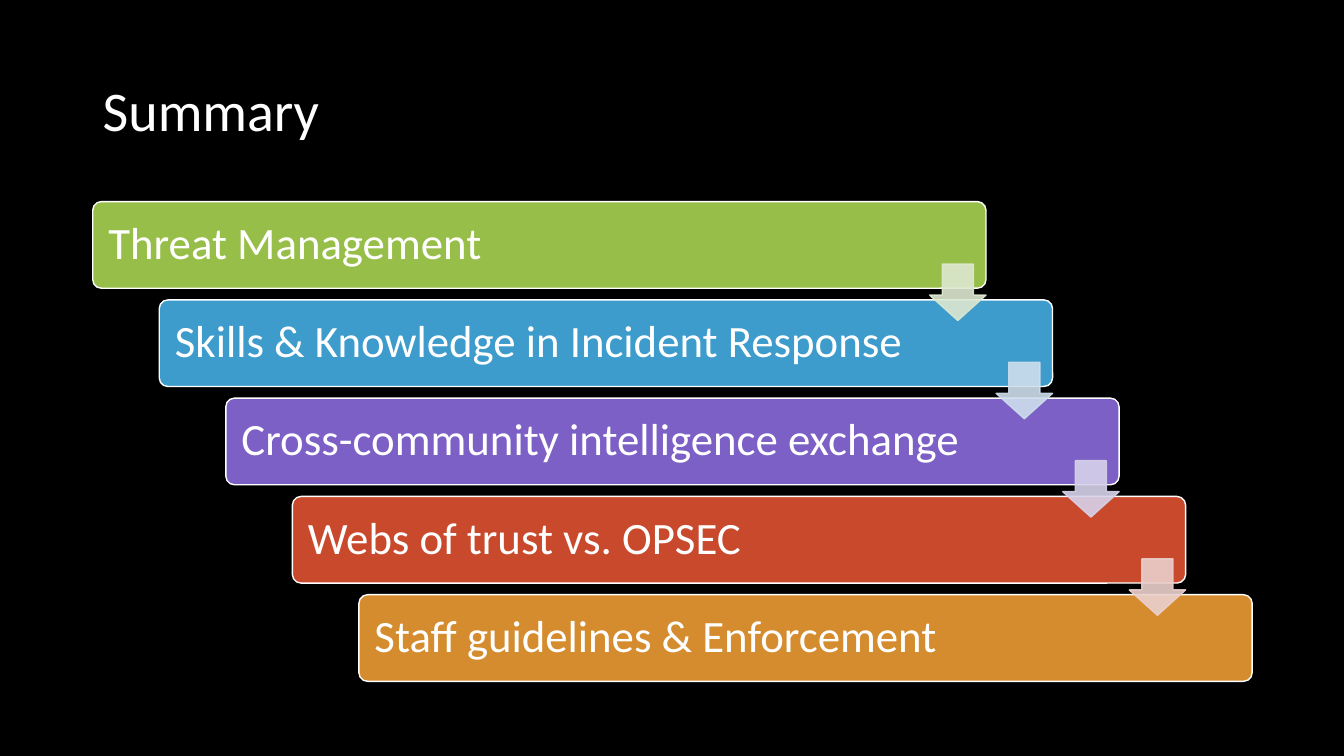
from lxml import etree
from pptx import Presentation
from pptx.dml.color import RGBColor
from pptx.enum.shapes import MSO_SHAPE
from pptx.enum.text import MSO_ANCHOR, PP_ALIGN
from pptx.oxml.ns import qn
from pptx.util import Inches, Pt

ROUNDED = MSO_SHAPE.ROUNDED_RECTANGLE
DOWN_ARROW = MSO_SHAPE.DOWN_ARROW
MIDDLE = MSO_ANCHOR.MIDDLE
LEFT = PP_ALIGN.LEFT

BLACK = RGBColor(0x00, 0x00, 0x00)
WHITE = RGBColor(0xFF, 0xFF, 0xFF)
GREEN = RGBColor(0x97, 0xBE, 0x49)
BLUE = RGBColor(0x3D, 0x9C, 0xCC)
PURPLE = RGBColor(0x7C, 0x60, 0xC6)
RED = RGBColor(0xC9, 0x49, 0x2C)
ORANGE = RGBColor(0xD5, 0x8C, 0x2E)
PALE_GREEN = RGBColor(0xDD, 0xE8, 0xD0)
PALE_BLUE = RGBColor(0xCE, 0xDE, 0xEC)
PALE_PURPLE = RGBColor(0xD7, 0xD2, 0xEA)
PALE_RED = RGBColor(0xEB, 0xD0, 0xCD)

# Each step: wording, bar colour, colour of the arrow to the next step
STEPS = [
    ("Threat Management", GREEN, PALE_GREEN),
    ("Skills & Knowledge in Incident Response", BLUE, PALE_BLUE),
    ("Cross-community intelligence exchange", PURPLE, PALE_PURPLE),
    ("Webs of trust vs. OPSEC", RED, PALE_RED),
    ("Staff guidelines & Enforcement", ORANGE, None),
]
STEP_RIGHT = 0.66
STEP_DOWN = 3.9 / (len(STEPS) - 1)


def write_text(shape, text, size=32, color=WHITE, font="Calibri",
               inset_x=0.13, inset_y=0.13):
    frame = shape.text_frame
    frame.word_wrap = True
    frame.vertical_anchor = MIDDLE
    frame.margin_left = frame.margin_right = Inches(inset_x)
    frame.margin_top = frame.margin_bottom = Inches(inset_y)
    para = frame.paragraphs[0]
    para.alignment = LEFT
    para.line_spacing = 0.9
    span = para.add_run()
    span.text = text
    span.font.name = font
    span.font.size = Pt(size)
    span.font.color.rgb = color


class SlideBuilder:
    def __init__(self, page, background):
        self.page = page
        page.background.fill.solid()
        page.background.fill.fore_color.rgb = background

    def title(self, text, left, top, width, height):
        box = self.page.shapes.add_textbox(
            Inches(left), Inches(top), Inches(width), Inches(height))
        write_text(box, text, size=40, inset_x=0.1, inset_y=0.05)

    def shape(self, kind, left, top, width, height, fill, line, adjustments):
        shape = self.page.shapes.add_shape(
            kind, Inches(left), Inches(top), Inches(width), Inches(height))
        shape.shadow.inherit = False
        shape.fill.solid()
        shape.fill.fore_color.rgb = fill
        shape.line.color.rgb = line
        shape.line.width = Pt(1)
        for index, value in enumerate(adjustments):
            shape.adjustments[index] = value
        return shape

    def bar(self, text, left, top, color):
        bar = self.shape(ROUNDED, left, top, 8.86, 0.86, color, WHITE, [0.1])
        write_text(bar, text)

    def arrow(self, left, top, color, opacity=90):
        arrow = self.shape(DOWN_ARROW, left, top, 0.56, 0.56,
                           color, color, [0.55, 0.45])
        # Opacity applies to both the fill and the outline
        for paint in arrow.element.spPr.iter(qn("a:srgbClr")):
            etree.SubElement(paint, qn("a:alpha"), val=str(opacity * 1000))


def main():
    deck = Presentation()
    deck.slide_width = Inches(13.33)
    deck.slide_height = Inches(7.5)
    page = deck.slides.add_slide(deck.slide_layouts[6])
    builder = SlideBuilder(page, BLACK)

    builder.title("Summary", 0.92, 0.4, 11.5, 1.45)

    # Staircase of bars
    for index, (text, color, _) in enumerate(STEPS):
        builder.bar(text, 0.92 + index * STEP_RIGHT, 2 + index * STEP_DOWN, color)

    # Arrows between bars, in front of them
    for index, (_, _, color) in enumerate(STEPS[:-1]):
        builder.arrow(9.22 + index * STEP_RIGHT, 2.62 + index * STEP_DOWN, color)

    deck.save("out.pptx")


if __name__ == "__main__":
    main()
